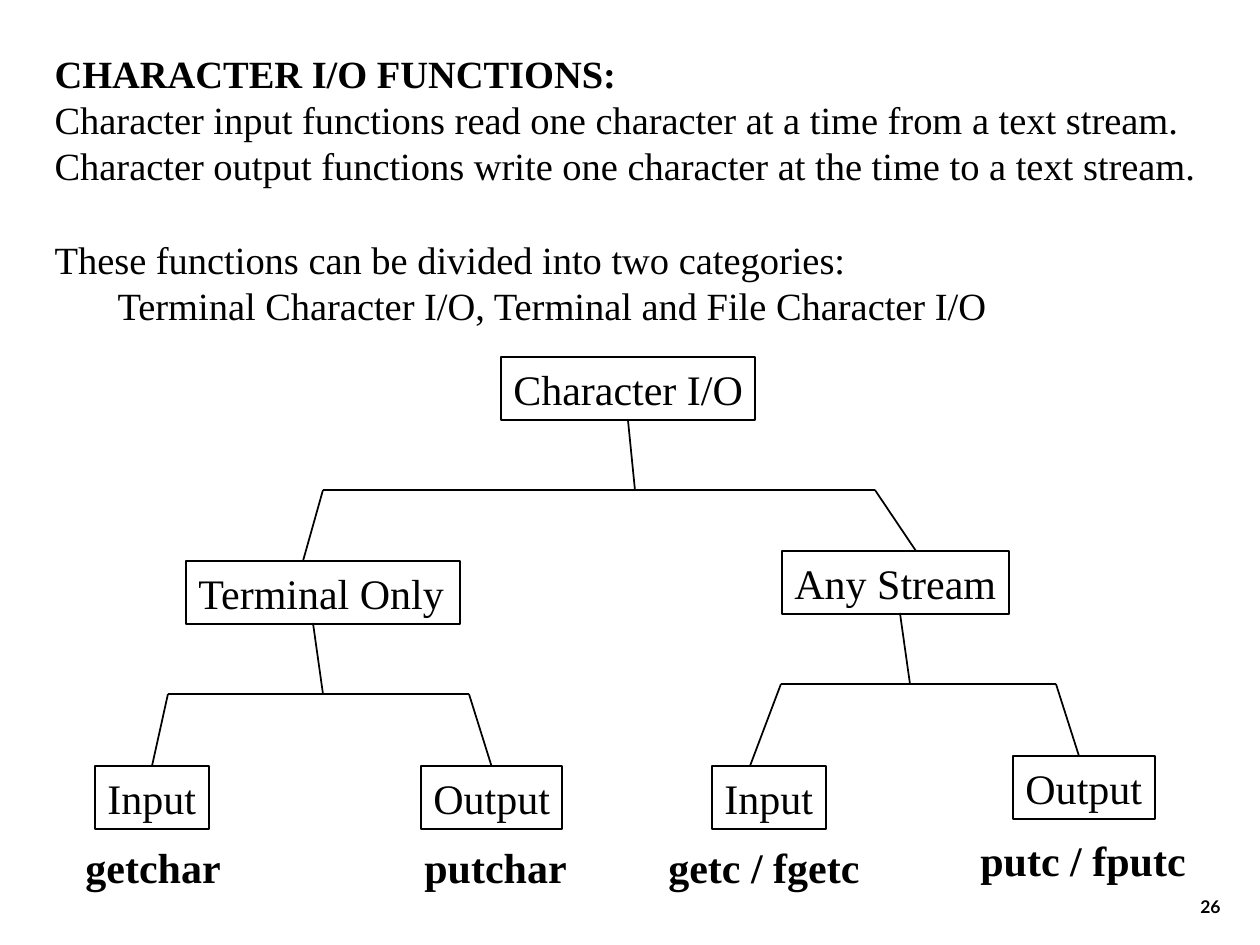
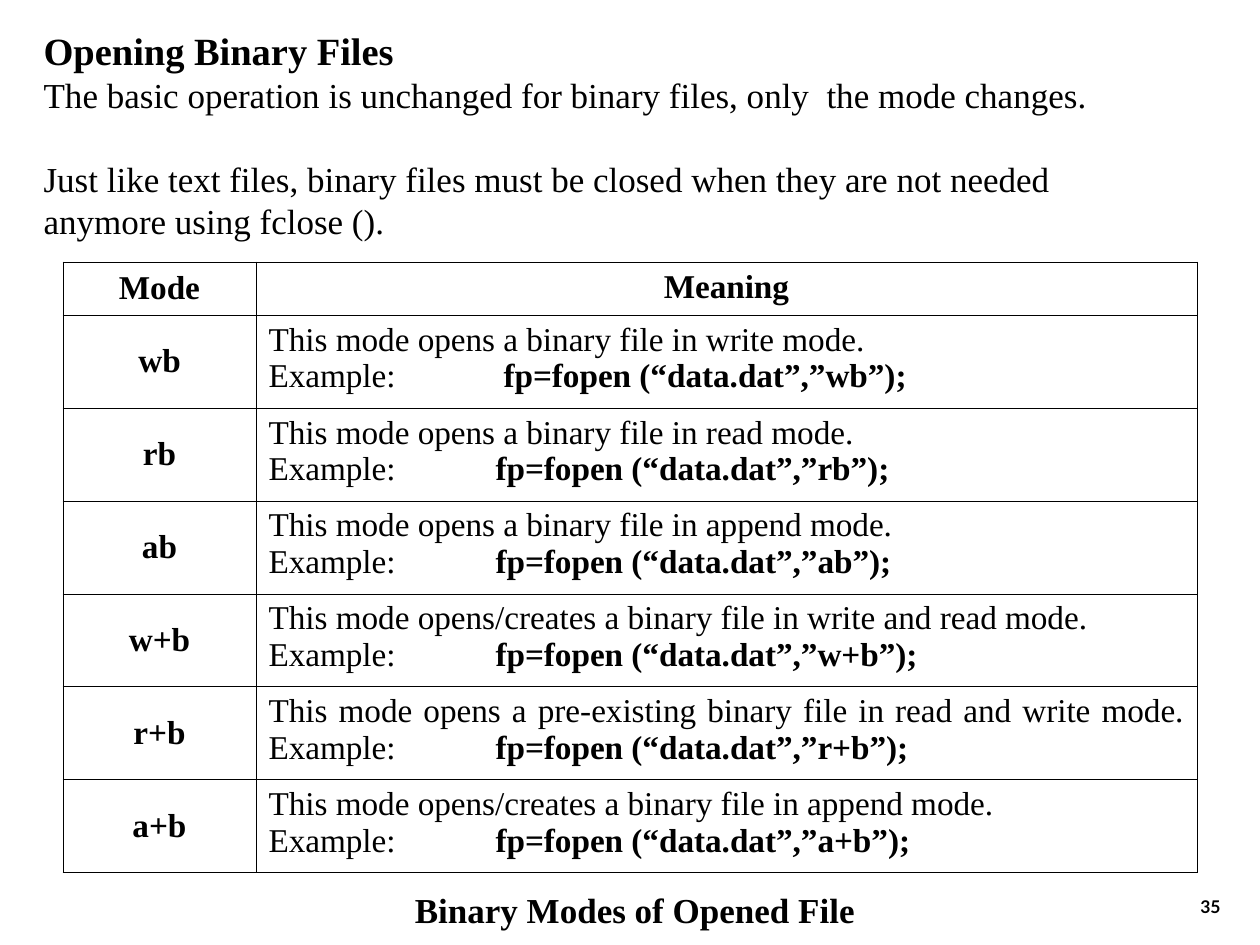
from dataclasses import dataclass
from typing import Any, NamedTuple

from lxml import etree
from pptx import Presentation
from pptx import util as u
from pptx.dml import color
from pptx.enum import shapes, text
from pptx.oxml import ns

SCALE = 914400 / 126
BLACK, WHITE = "000000", "FFFFFF"
SERIF, SANS = "Times New Roman", "Lato"
LEFT, MID, RIGHT, FULL = (
    text.PP_ALIGN.LEFT, text.PP_ALIGN.CENTER, text.PP_ALIGN.RIGHT, text.PP_ALIGN.JUSTIFY)
TOP, CENTER, LOW = (
    text.MSO_ANCHOR.TOP, text.MSO_ANCHOR.MIDDLE, text.MSO_ANCHOR.BOTTOM)


class Box(NamedTuple):
    x: int
    y: int
    w: int
    h: int


class Run(NamedTuple):
    text: str
    bold: bool = False


@dataclass
class Line:
    runs: list[Run]
    size: int
    align: Any = LEFT
    pitch: float = 1.2
    before: int = 0
    indent: int = 0
    tab: int = 0
    face: str = SERIF


class Node(NamedTuple):
    label: str
    box: Box
    edge: str = BLACK
    bold: bool = False


class Fork(NamedTuple):
    stem: tuple[int, int]
    foot: int
    rail: int
    left: int
    right: int
    ends: tuple[tuple[int, int], tuple[int, int]]


class Mode(NamedTuple):
    name: str
    use: str
    joined: bool = False
    tab: int = 227


NODES = [
    Node("Character I/O", Box(501, 357, 254, 63)),
    Node("Any Stream", Box(782, 551, 227, 63)),
    Node("Terminal Only", Box(186, 561, 274, 63)),
    Node("Input", Box(95, 766, 114, 63)),
    Node("Output", Box(421, 766, 141, 63)),
    Node("Input", Box(712, 766, 114, 63)),
    Node("Output", Box(1013, 756, 142, 63)),
    Node("getchar", Box(73, 835, 160, 63), WHITE, True),
    Node("putchar", Box(412, 835, 168, 63), WHITE, True),
    Node("getc / fgetc", Box(656, 835, 217, 63), WHITE, True),
    Node("putc / fputc", Box(968, 828, 230, 63), WHITE, True),
]

FORKS = [
    Fork((628, 420), 635, 490, 323, 875, ((303, 561), (916, 551))),
    Fork((313, 623), 323, 694, 168, 469, ((152, 766), (491, 766))),
    Fork((900, 613), 910, 684, 781, 1056, ((750, 766), (1079, 756))),
]

MODES = [
    Mode("wb", "opens a binary file in write mode.", tab=235),
    Mode("rb", "opens a binary file in read mode."),
    Mode("ab", "opens a binary file in append mode."),
    Mode("w+b", "opens/creates a binary file in write and read mode."),
    Mode("r+b", "opens a pre-existing binary file in read and write mode.", True),
    Mode("a+b", "opens/creates a binary file in append mode."),
]


def px(n: float) -> int:
    return round(n * SCALE)


def paint(code: str) -> color.RGBColor:
    return color.RGBColor.from_string(code)


def style(item: Any, vals: dict[str, Any]) -> None:
    for key, val in vals.items():
        setattr(item, key, val)


def place(item: Any, box: Box) -> None:
    style(item, dict(zip(("left", "top", "width", "height"), map(px, box))))


def write(frame: Any, lines: list[Line]) -> None:
    for i, line in enumerate(lines):
        para = frame.paragraphs[0] if i == 0 else frame.add_paragraph()
        props = para._p.get_or_add_pPr()
        etree.SubElement(props, ns.qn("a:buNone"))
        if line.tab:
            tabs = etree.SubElement(props, ns.qn("a:tabLst"))
            etree.SubElement(tabs, ns.qn("a:tab"), pos=str(px(line.tab)), algn="l")
        else:
            props.set("marL", str(px(line.indent)))
            props.set("indent", "0")
        style(para, {
            "alignment": line.align,
            "line_spacing": u.Pt(line.size * line.pitch),
            "space_before": u.Pt(line.before),
            "space_after": u.Pt(0),
        })
        for part in line.runs:
            run = para.add_run()
            run.text = part.text
            style(run.font, {"size": u.Pt(line.size), "name": line.face, "bold": part.bold})
            run.font.color.rgb = paint(BLACK)


def fill(item: Any, lines: list[Line], anchor: Any = TOP, wrap: bool = True) -> None:
    frame = item.text_frame
    style(frame, {
        "word_wrap": wrap, "auto_size": text.MSO_AUTO_SIZE.NONE,
        "vertical_anchor": anchor,
        "margin_left": u.Inches(0.1), "margin_right": u.Inches(0.1),
        "margin_top": u.Inches(0.05), "margin_bottom": u.Inches(0.05),
    })
    write(frame, lines)


def add_text(slide: Any, box: Box, line: Line, anchor: Any) -> None:
    fill(slide.shapes.add_textbox(*map(px, box)), [line], anchor)


def add_page(deck: Any, head: str, top: Box, body: Box, lines: list[Line], page: int) -> Any:
    slide = deck.slides.add_slide(deck.slide_layouts[1])
    title, main = slide.placeholders
    place(title, top)
    fill(title, [Line([Run(head, True)], 22)])
    place(main, body)
    fill(main, lines)
    add_text(slide, Box(970, 860, 263, 63),
             Line([Run(str(page), True)], 10, RIGHT, face=SANS), LOW)
    return slide


def add_node(slide: Any, node: Node) -> Any:
    item = slide.shapes.add_shape(shapes.MSO_SHAPE.RECTANGLE, *map(px, node.box))
    item.shadow.inherit = False
    item.fill.background()
    item.line.color.rgb = paint(node.edge)
    item.line.width = u.Pt(0.75)
    fill(item, [Line([Run(node.label, node.bold)], 24)], wrap=False)
    return item


def add_wire(slide: Any, start: tuple[int, int], end: tuple[int, int], items: list[Any]) -> None:
    wire = slide.shapes.add_connector(
        shapes.MSO_CONNECTOR.STRAIGHT, *map(px, start + end))
    wire.line.color.rgb = paint(BLACK)
    wire.line.width = u.Pt(1)
    etree.SubElement(wire._element.spPr, ns.qn("a:effectLst"))
    for point, join in ((start, wire.begin_connect), (end, wire.end_connect)):
        for node, item in zip(NODES, items):
            x, y, w, h = node.box
            for site, edge in ((0, y), (2, y + h)):
                if abs(point[0] - x - w / 2) <= 2 and abs(point[1] - edge) <= 1:
                    join(item, site)


def add_fork(slide: Any, fork: Fork, items: list[Any]) -> None:
    left, right = (fork.left, fork.rail), (fork.right, fork.rail)
    add_wire(slide, left, right, items)
    add_wire(slide, fork.stem, (fork.foot, fork.rail), items)
    for start, end in zip((left, right), fork.ends):
        add_wire(slide, start, end, items)


def set_cell(cell: Any, lines: list[Line], anchor: Any) -> None:
    cell.fill.background()
    cell.vertical_anchor = anchor
    props = cell._tc.get_or_add_tcPr()
    for i, side in enumerate(("lnL", "lnR", "lnT", "lnB")):
        edge = etree.Element(ns.qn(f"a:{side}"), w=str(u.Pt(0.45)))
        solid = etree.SubElement(edge, ns.qn("a:solidFill"))
        etree.SubElement(solid, ns.qn("a:srgbClr"), val=BLACK)
        props.insert(i, edge)
    write(cell.text_frame, lines)


def cell_line(runs: list[Run], align: Any, tab: int = 0) -> Line:
    return Line(runs, 19, align, 1.11, tab=tab)


def explain(mode: Mode) -> list[Line]:
    use = Run(f"This mode {mode.use}")
    case = [Run("Example:\t"), Run(f"fp=fopen (“data.dat”,”{mode.name}”);", True)]
    groups = [[use, Run(" "), *case]] if mode.joined else [[use], case]
    return [cell_line(runs, FULL, mode.tab) for runs in groups]


def add_modes(slide: Any) -> None:
    rows = [("Mode", [cell_line([Run("Meaning", True)], MID)])]
    rows += [(mode.name, explain(mode)) for mode in MODES]
    grid = slide.shapes.add_table(
        len(rows), 2, *map(px, Box(63, 262, 1134, 611))).table
    style(grid, {"first_row": False, "horz_banding": False})
    for col, wide in zip(grid.columns, (193, 941)):
        col.width = px(wide)
    for i, (name, lines) in enumerate(rows):
        grid.rows[i].height = px(93 if i else 53)
        set_cell(grid.cell(i, 0), [cell_line([Run(name, True)], MID)], CENTER)
        set_cell(grid.cell(i, 1), lines, TOP)


def main() -> None:
    deck = Presentation()
    style(deck, {"slide_width": px(1260), "slide_height": px(945)})

    tree = add_page(
        deck, "CHARACTER I/O FUNCTIONS:", Box(42, 44, 1176, 52), Box(42, 90, 1176, 244), [
            Line([Run("Character input functions read one character at a time from a text stream.")], 22),
            Line([Run("Character output functions write one character at the time to a text stream.")], 22),
            Line([Run("These functions can be divided into two categories:")], 22, before=27),
            Line([Run("Terminal Character I/O, Terminal and File Character I/O")], 22, indent=63),
        ], 26)
    items = [add_node(tree, node) for node in NODES]
    for fork in FORKS:
        add_fork(tree, fork, items)

    files = add_page(
        deck, "Opening Binary Files", Box(31, 21, 1162, 52), Box(31, 67, 1162, 181), [
            Line([Run("The basic operation is unchanged for binary files, only  the mode changes.")], 20),
            Line([Run("Just like text files, binary files must be closed when they are not needed "
                      "anymore using fclose ().")], 20, before=24),
        ], 35)
    add_modes(files)
    add_text(files, Box(63, 882, 1144, 55),
             Line([Run("Binary Modes of Opened File", True)], 20, MID), CENTER)
    deck.save("out.pptx")


if __name__ == "__main__":
    main()
